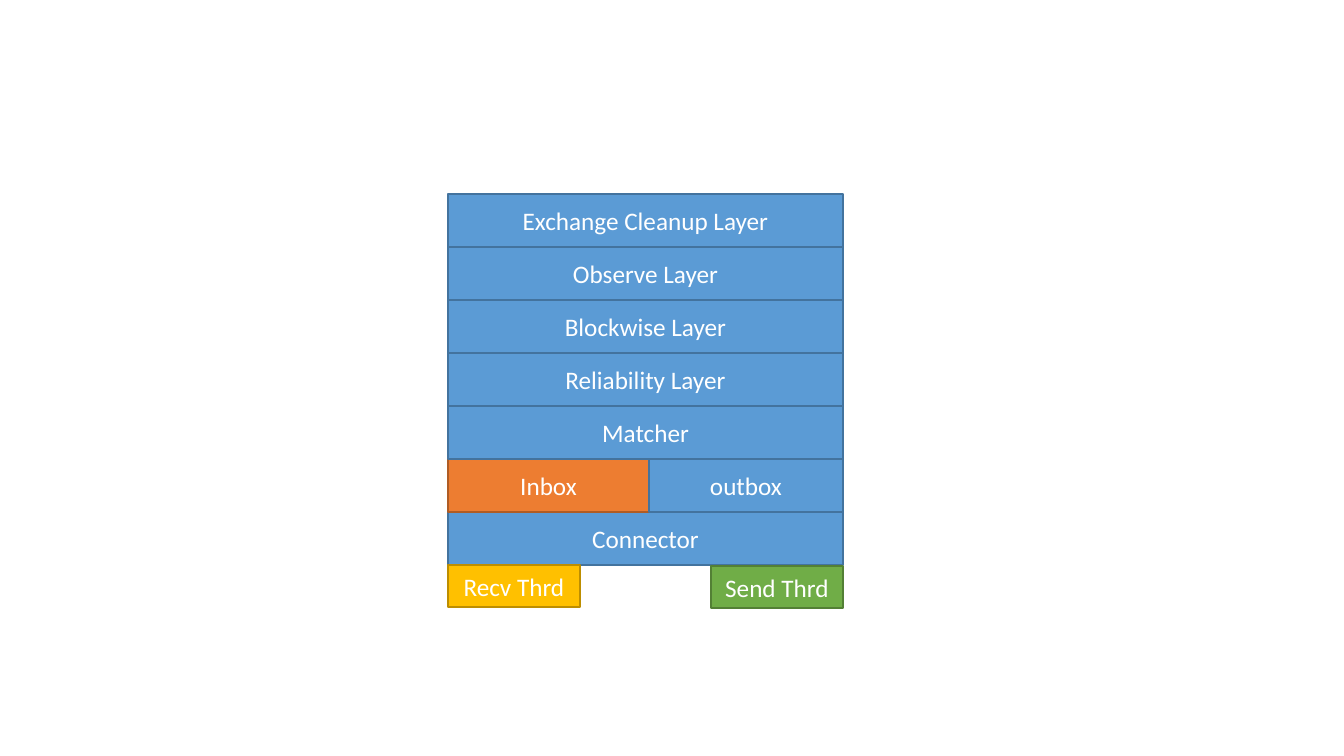
from typing import NamedTuple

from pptx import Presentation
from pptx.dml.color import RGBColor
from pptx.enum.shapes import MSO_SHAPE
from pptx.enum.text import MSO_ANCHOR, PP_ALIGN
from pptx.slide import Slide
from pptx.util import Emu, Pt

SLIDE_WIDTH, SLIDE_HEIGHT = 1344, 756
EMU_PER_PIXEL = 12192000 / SLIDE_WIDTH

COLORS = {
    "blue": "5B9BD5", "blue_line": "43739E",
    "orange": "ED7D31", "orange_line": "AF5C24",
    "green": "70AD47", "green_line": "538035",
    "yellow": "FFC000", "yellow_line": "BD8E00",
    "text": "FFFFFF",
}

STACK_LEFT, STACK_TOP, STACK_WIDTH = 448, 194, 395
ROW_HEIGHT = 53
INBOX_WIDTH = 201
THREAD_WIDTH, THREAD_HEIGHT = 132, 42


class Box(NamedTuple):
    """A labelled rectangle, measured in pixels."""
    label: str
    left: int
    top: int
    width: int
    height: int = ROW_HEIGHT
    color: str = "blue"


def pixels(length: int) -> Emu:
    """Convert pixels to EMU."""
    return Emu(round(length * EMU_PER_PIXEL))


def rgb(name: str) -> RGBColor:
    """Look up a named colour."""
    return RGBColor.from_string(COLORS[name])


def row_top(row: int) -> int:
    """Return the top of a stack row, counted from the top layer."""
    return STACK_TOP + row * ROW_HEIGHT


def layer(label: str, row: int) -> Box:
    """Describe a layer as wide as the whole stack."""
    return Box(label, STACK_LEFT, row_top(row), STACK_WIDTH)


def draw_box(slide: Slide, box: Box) -> None:
    """Draw a filled rectangle with its centred label."""
    shape = slide.shapes.add_shape(
        MSO_SHAPE.RECTANGLE, pixels(box.left), pixels(box.top),
        pixels(box.width), pixels(box.height))
    shape.shadow.inherit = False
    shape.fill.solid()
    shape.fill.fore_color.rgb = rgb(box.color)
    shape.line.color.rgb = rgb(f"{box.color}_line")
    shape.line.width = Pt(1)
    text_frame = shape.text_frame
    text_frame.text = box.label
    text_frame.word_wrap = True
    text_frame.vertical_anchor = MSO_ANCHOR.MIDDLE
    paragraph = text_frame.paragraphs[0]
    paragraph.alignment = PP_ALIGN.CENTER
    font = paragraph.runs[0].font
    font.name = "Calibri"
    font.size = Pt(18)
    font.color.rgb = rgb("text")


UPPER_LAYERS = ["Exchange Cleanup Layer", "Observe Layer", "Blockwise Layer",
                "Reliability Layer", "Matcher"]
BOX_ROW = len(UPPER_LAYERS)
CONNECTOR_ROW = BOX_ROW + 1
THREAD_TOP = row_top(CONNECTOR_ROW + 1)
STACK_RIGHT = STACK_LEFT + STACK_WIDTH

# Listed from back to front, so each layer covers the edge of the one below.
BOXES = [
    layer("Connector", CONNECTOR_ROW),
    Box("Inbox", STACK_LEFT, row_top(BOX_ROW), INBOX_WIDTH, color="orange"),
    Box("outbox", STACK_LEFT + INBOX_WIDTH, row_top(BOX_ROW),
        STACK_WIDTH - INBOX_WIDTH),
    *(layer(label, row) for row, label in reversed(list(enumerate(UPPER_LAYERS)))),
    Box("Send Thrd", STACK_RIGHT - THREAD_WIDTH, THREAD_TOP + 1,
        THREAD_WIDTH, THREAD_HEIGHT, "green"),
    Box("Recv Thrd", STACK_LEFT, THREAD_TOP,
        THREAD_WIDTH, THREAD_HEIGHT, "yellow"),
]

presentation = Presentation()
presentation.slide_width = pixels(SLIDE_WIDTH)
presentation.slide_height = pixels(SLIDE_HEIGHT)
slide = presentation.slides.add_slide(presentation.slide_layouts[6])
for box in BOXES:
    draw_box(slide, box)
presentation.save("out.pptx")
